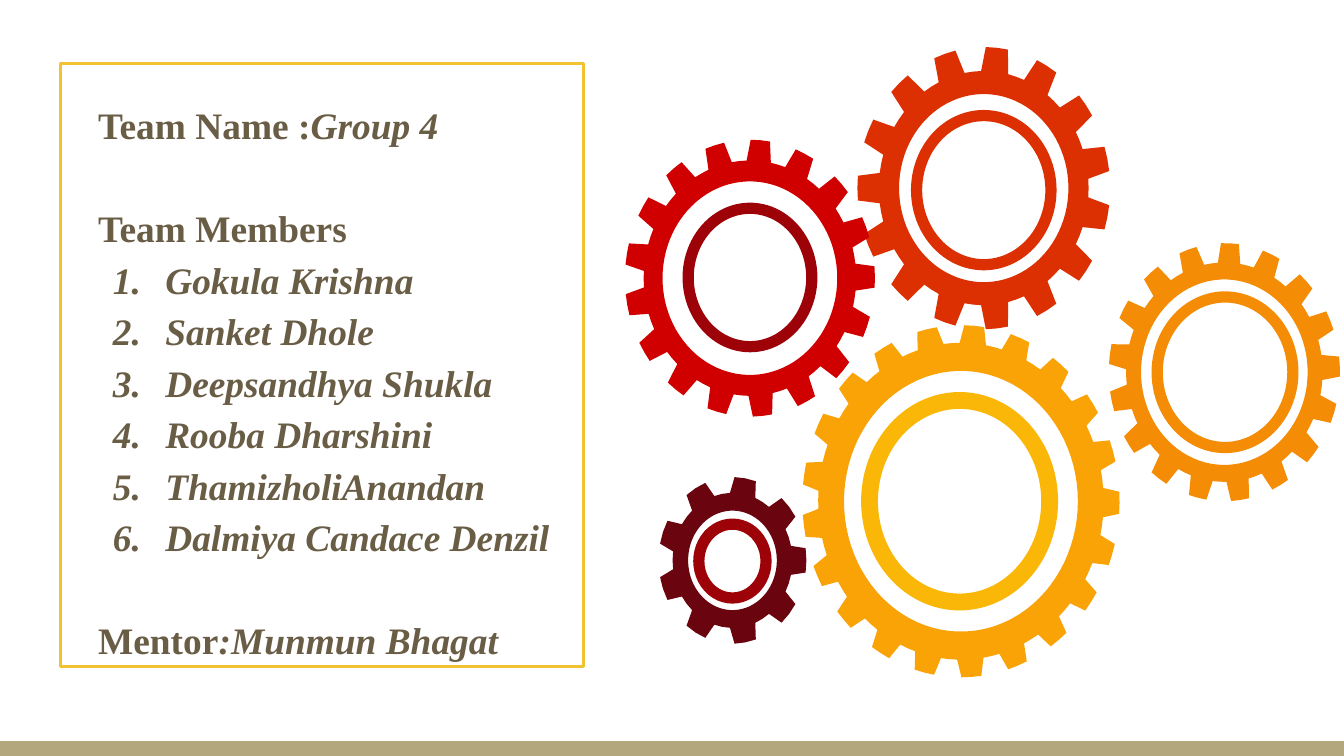
from math import cos, pi, radians, sin

from lxml import etree
from pptx import Presentation
from pptx.dml.color import RGBColor
from pptx.enum.shapes import MSO_SHAPE
from pptx.enum.text import MSO_ANCHOR, MSO_AUTO_SIZE
from pptx.oxml.ns import qn
from pptx.util import Inches, Pt

RECT, OVAL = MSO_SHAPE.RECTANGLE, MSO_SHAPE.OVAL
TOP, NO_FIT = MSO_ANCHOR.TOP, MSO_AUTO_SIZE.NONE

SLIDE_W = 10
SLIDE_H = SLIDE_W * 9 / 16
BAR_H = 0.11

THEME = {
    "font": "Times New Roman", "size": 20, "spacing": 1.15, "gap": 27.6,
    "text": "695D46", "frame": "F1C232", "bar": "B3A77D",
}

MEMBERS = ["Gokula Krishna", "Sanket Dhole", "Deepsandhya Shukla",
           "Rooba Dharshini", "ThamizholiAnandan", "Dalmiya Candace Denzil"]

# (label, detail, numbered, gap above)
LINES = [
    ("Team Name :", "Group 4", False, False),
    ("Team Members", "", False, True),
    *[("", name, True, False) for name in MEMBERS],
    ("Mentor", ":Munmun Bhagat", False, True),
]

GEARS = [
    {"center": (7.15, 3.73), "outer": (1.18, 1.31), "hole": (0.87, 0.97), "teeth": 21,
     "phase": -0.5, "root": 0.9, "fill": "FAA307",
     "ring": (6.47, 2.98, 1.34, 1.5), "ring_color": "FAB707", "ring_pt": 9},
    {"center": (5.45, 4.17), "outer": (0.55, 0.62), "hole": (0.33, 0.37), "teeth": 9,
     "phase": 0, "root": 0.81, "fill": "6A040F",
     "ring": (5.2, 3.9, 0.5, 0.55), "ring_color": "9D0208", "ring_pt": 6},
    {"center": (7.32, 1.4), "outer": (0.94, 1.05), "hole": (0.63, 0.7), "teeth": 15,
     "phase": 12, "root": 0.83, "fill": "DC2F02",
     "ring": (6.82, 0.86, 1, 1.11), "ring_color": "DC2F02", "ring_pt": 6},
    {"center": (9.11, 2.77), "outer": (0.86, 0.96), "hole": (0.62, 0.69), "teeth": 17,
     "phase": 2.5, "root": 0.85, "fill": "F48C06",
     "ring": (8.61, 2.21, 1.01, 1.12), "ring_color": "F48C06", "ring_pt": 6},
    {"center": (5.58, 2.07), "outer": (0.93, 1.03), "hole": (0.65, 0.72), "teeth": 17,
     "phase": 0.5, "root": 0.85, "fill": "D00000",
     "ring": (5.12, 1.55, 0.92, 1.03), "ring_color": "9D0208", "ring_pt": 6},
]
TIP_HALF, BASE_HALF = 0.21, 0.31
HOLE_STEPS = 90


def rgb(value):
    return RGBColor.from_string(value)


def paint(sp, fill=None, line=None, width=1):
    sp.shadow.inherit = False
    if fill:
        sp.fill.solid()
        sp.fill.fore_color.rgb = rgb(fill)
    else:
        sp.fill.background()
    if line:
        sp.line.color.rgb = rgb(line)
        sp.line.width = Pt(width)
    else:
        sp.line.fill.background()


def add_preset(s, kind, box, **style):
    sp = s.shapes.add_shape(kind, *[Inches(v) for v in box])
    paint(sp, **style)


def on_ellipse(center, radii, angle, scale=1):
    return (Inches(center[0] + radii[0] * scale * cos(angle)),
            Inches(center[1] - radii[1] * scale * sin(angle)))


def add_gear(s, gear):
    center, outer = gear["center"], gear["outer"]
    pitch = 2 * pi / gear["teeth"]
    profile = [(-BASE_HALF, gear["root"]), (-TIP_HALF, 1), (0, 1),
               (TIP_HALF, 1), (BASE_HALF, gear["root"]), (0.5, gear["root"])]
    rim = [on_ellipse(center, outer, radians(gear["phase"]) + (i + offset) * pitch, scale)
           for i in range(gear["teeth"]) for offset, scale in profile]
    hole = [on_ellipse(center, gear["hole"], -2 * pi * i / HOLE_STEPS)
            for i in range(HOLE_STEPS)]
    builder = s.shapes.build_freeform(*rim[0], scale=1.0)
    builder.add_line_segments(rim[1:], close=True)
    builder.move_to(*hole[0])
    builder.add_line_segments(hole[1:], close=True)
    paint(builder.convert_to_shape(), fill=gear["fill"])
    add_preset(s, OVAL, gear["ring"], line=gear["ring_color"], width=gear["ring_pt"])


def set_bullet(p, numbered):
    pPr = p._p.get_or_add_pPr()
    pPr.set("marL", str(Inches(0.5) if numbered else 0))
    pPr.set("indent", str(Inches(-0.39) if numbered else 0))
    if numbered:
        color = etree.SubElement(pPr, qn("a:buClr"))
        etree.SubElement(color, qn("a:srgbClr"), val=THEME["text"])
        etree.SubElement(pPr, qn("a:buAutoNum"), type="arabicPeriod")
    else:
        etree.SubElement(pPr, qn("a:buNone"))


def add_team(s):
    body = s.placeholders[1]
    body.left, body.top, body.width, body.height = [
        Inches(v) for v in (0.63, 0.61, 5.06, 4.41)]
    tf = body.text_frame
    tf.word_wrap = True
    tf.auto_size = NO_FIT
    tf.vertical_anchor = TOP
    tf.margin_left = tf.margin_right = tf.margin_top = tf.margin_bottom = Inches(0.1)
    for i, (label, detail, numbered, gap) in enumerate(LINES):
        p = tf.add_paragraph() if i else tf.paragraphs[0]
        p.line_spacing = THEME["spacing"]
        p.space_before = Pt(THEME["gap"] if gap else 0)
        p.space_after = Pt(0)
        set_bullet(p, numbered)
        for text, italic in ((label, False), (detail, True)):
            if text:
                r = p.add_run()
                r.text = text
                r.font.name = THEME["font"]
                r.font.size = Pt(THEME["size"])
                r.font.bold = True
                r.font.italic = italic
                r.font.color.rgb = rgb(THEME["text"])


def main():
    prs = Presentation()
    prs.slide_width, prs.slide_height = Inches(SLIDE_W), Inches(SLIDE_H)
    s = prs.slides.add_slide(prs.slide_layouts[1])
    title = s.shapes.title.element
    title.getparent().remove(title)
    add_preset(s, RECT, (0, SLIDE_H - BAR_H, SLIDE_W, BAR_H), fill=THEME["bar"])
    add_team(s)
    for gear in GEARS:
        add_gear(s, gear)
    add_preset(s, RECT, (0.45, 0.47, 3.89, 4.49), line=THEME["frame"], width=1.5)
    prs.save("out.pptx")


if __name__ == "__main__":
    main()
